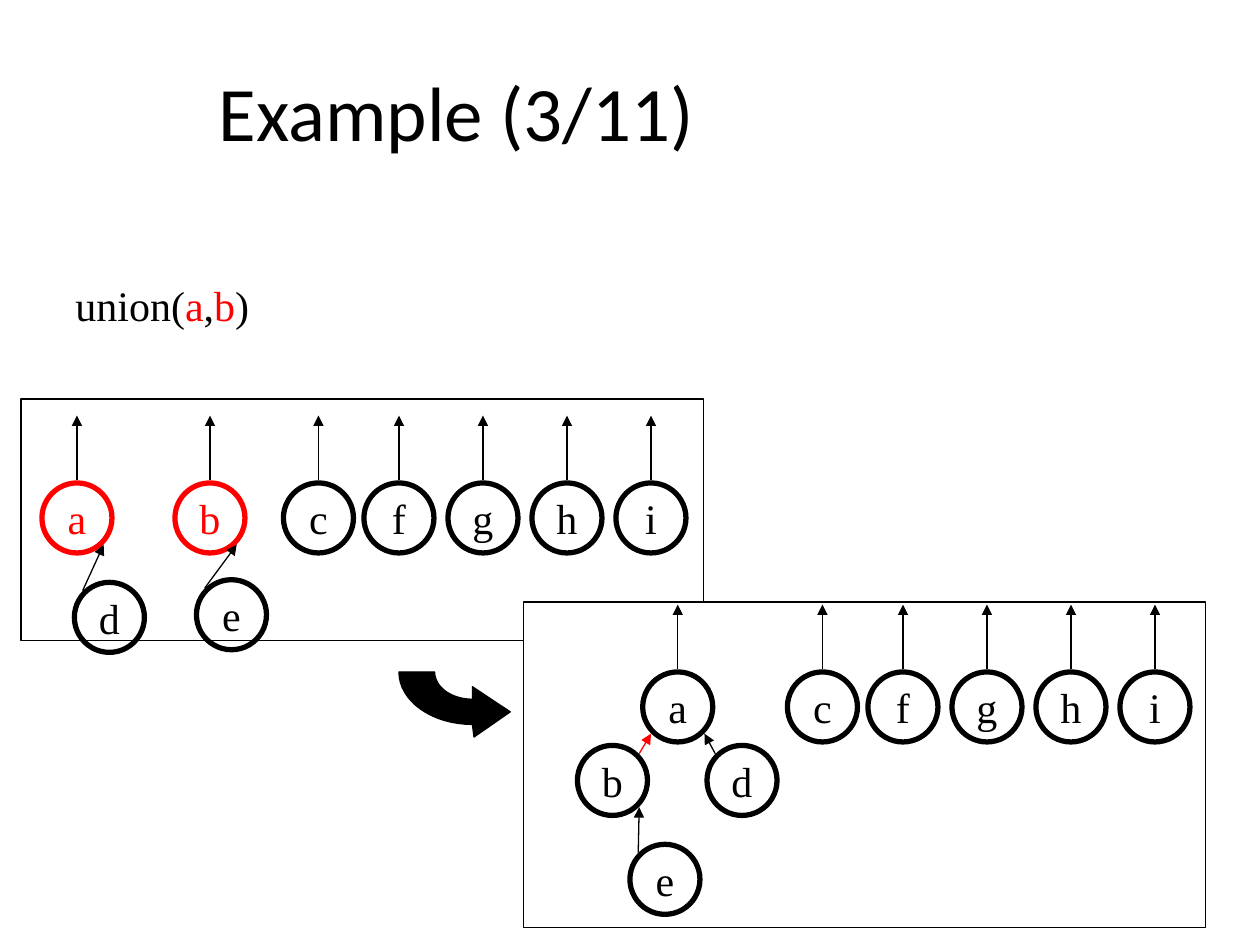
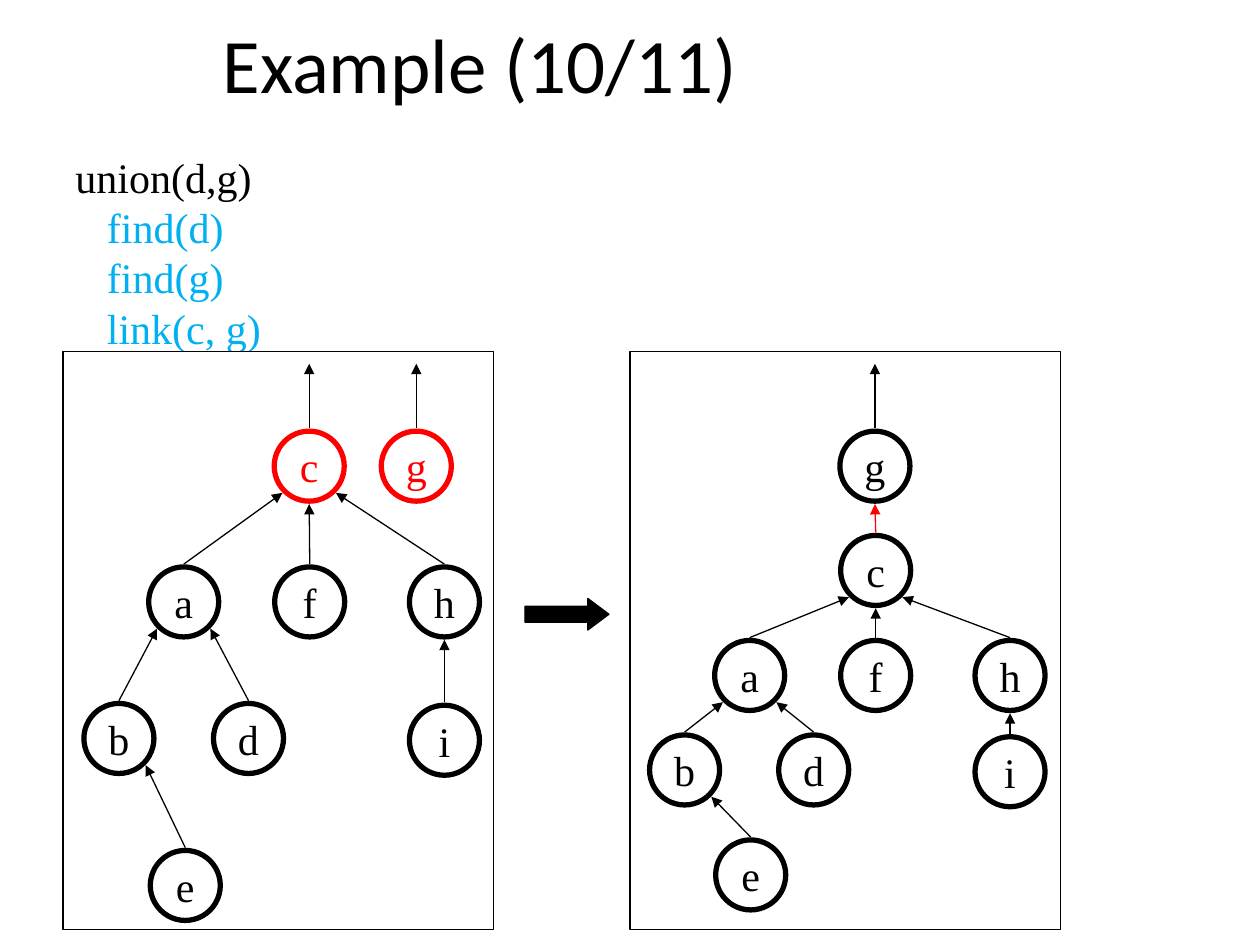
"""Build two slides that show union-find forests before and after a union."""
from math import cos, pi, sin, sqrt

from lxml import etree
from pptx import Presentation
from pptx import util as u
from pptx.dml.color import RGBColor
from pptx.enum import shapes, text
from pptx.oxml.ns import qn

BLACK = RGBColor(0x00, 0x00, 0x00)
WHITE = RGBColor(0xFF, 0xFF, 0xFF)
RED = RGBColor(0xFF, 0x00, 0x00)
BLUE = RGBColor(0x00, 0xB0, 0xF0)
TITLE_FONT, BODY_FONT = "Calibri", "Times New Roman"
THIN, THICK = u.Pt(0.75), u.Pt(3)

deck = Presentation()
deck.slide_width, deck.slide_height = u.Inches(10), u.Inches(7.5)
CELL = deck.slide_width / 120
NODE = 6.67
REACH = 3.6
ROOT_ARROW = 6.15


def write(paragraph, parts, font, size):
    """Fill a paragraph with (words, colour) parts."""
    for words, colour in parts:
        run = paragraph.add_run()
        run.text = words
        run.font.name, run.font.size = font, u.Pt(size)
        run.font.color.rgb = colour


def paint(shape, fill, line, width):
    """Give a shape its fill and outline, without shadow."""
    shape.shadow.inherit = False
    if fill is None:
        shape.fill.background()
    else:
        shape.fill.solid()
        shape.fill.fore_color.rgb = fill
    shape.line.color.rgb, shape.line.width = line, width


# Forest entries: node, column and row of its centre, parent.
EXAMPLES = [
    {
        "title": "Example (3/11)",
        "title_box": (1, 3, 85, 15),
        "command_box": (6, 26, 19, 6),
        "command": [(0, [("union(", BLACK), ("a", RED), (",", BLACK), ("b", RED), (")", BLACK)])],
        "panels": [((2, 38, 65, 23), None), ((49.83, 57.33, 65, 31), WHITE)],
        "leaning": True,
        "forests": [
            {
                "red_nodes": "ab",
                "red_links": "",
                "nodes": [
                    ("a", 7.33, 49.33, None), ("b", 20, 49.33, None), ("c", 30.33, 49.33, None),
                    *[(name, 38 + 8 * i, 49.33, None) for i, name in enumerate("fghi")],
                    ("d", 10.42, 58.8, "a"), ("e", 22.05, 58.55, "b"),
                ],
            },
            {
                "red_nodes": "",
                "red_links": "b",
                "nodes": [
                    ("a", 64.55, 67.33, None), ("c", 78.33, 67.33, None),
                    *[(name, 86 + 8 * i, 67.33, None) for i, name in enumerate("fghi")],
                    ("b", 58.33, 74.33, "a"), ("d", 70.67, 74.33, "a"), ("e", 63.33, 83.75, "b"),
                ],
            },
        ],
    },
    {
        "title": "Example (10/11)",
        "title_box": (2.2, -1.55, 87, 15),
        "command_box": (6, 13.8, 21.33, 20.67),
        "command": [(0, [("union(d,g)", BLACK)])]
        + [(3, [(step, BLUE)]) for step in ("find(d)", "find(g)", "link(c, g)")],
        "panels": [((left, 33.5, 41, 55), WHITE) for left in (6, 60)],
        "leaning": False,
        "forests": [
            {
                "red_nodes": "cg",
                "red_links": "",
                "nodes": [
                    ("c", 29.45, 44.4, None), ("g", 39.65, 44.4, None),
                    ("a", 17.5, 57.33, "c"), ("f", 29.5, 57.33, "c"), ("h", 42.33, 57.33, "c"),
                    ("b", 11.33, 70.33, "a"), ("d", 23.67, 70.33, "a"), ("i", 42.33, 70.5, "h"),
                    ("e", 17.65, 84.33, "b"),
                ],
            },
            {
                "red_nodes": "",
                "red_links": "c",
                "nodes": [
                    ("g", 83.33, 44.4, None), ("c", 83.4, 54.33, "g"),
                    ("a", 71.4, 64.33, "c"), ("f", 83.4, 64.33, "c"), ("h", 96.2, 64.33, "c"),
                    ("b", 65.2, 73.33, "a"), ("d", 77.5, 73.33, "a"), ("i", 96.2, 73.5, "h"),
                    ("e", 71.5, 83.33, "b"),
                ],
            },
        ],
    },
]

slides = []
for example in EXAMPLES:
    slide = deck.slides.add_slide(deck.slide_layouts[6])
    slides.append(slide)

    heading = slide.shapes.add_textbox(*[round(n * CELL) for n in example["title_box"]]).text_frame
    heading.word_wrap = True
    heading.vertical_anchor = text.MSO_ANCHOR.MIDDLE
    heading.paragraphs[0].alignment = text.PP_ALIGN.CENTER
    write(heading.paragraphs[0], [(example["title"], BLACK)], TITLE_FONT, 44)

    command = slide.shapes.add_textbox(*[round(n * CELL) for n in example["command_box"]]).text_frame
    command.word_wrap = False
    for number, (indent, parts) in enumerate(example["command"]):
        step = command.add_paragraph() if number else command.paragraphs[0]
        step._p.get_or_add_pPr().set("marL", str(round(indent * CELL)))
        write(step, parts, BODY_FONT, 24)

    for box, fill in example["panels"]:
        panel = slide.shapes.add_shape(
            shapes.MSO_SHAPE.RECTANGLE, *[round(n * CELL) for n in box])
        paint(panel, fill, BLACK, THIN)

    for forest in example["forests"]:
        centres = {name: (x, y) for name, x, y, _ in forest["nodes"]}
        for name, x, y, parent in forest["nodes"]:
            colour = RED if name in forest["red_nodes"] else BLACK
            node = slide.shapes.add_shape(
                shapes.MSO_SHAPE.OVAL, round((x - NODE / 2) * CELL), round((y - NODE / 2) * CELL),
                round(NODE * CELL), round(NODE * CELL))
            paint(node, None, colour, THICK)
            node.text_frame.word_wrap = False
            node.text_frame.vertical_anchor = text.MSO_ANCHOR.MIDDLE
            node.text_frame.paragraphs[0].alignment = text.PP_ALIGN.CENTER
            write(node.text_frame.paragraphs[0], [(name, colour)], BODY_FONT, 24)

            start = (x, y - REACH)
            end = (x, y - REACH - ROOT_ARROW)
            if parent:
                parent_x, parent_y = centres[parent]
                offset = x - parent_x
                side = 0 if abs(offset) < 1 else 1 if offset > 0 else -1
                diagonal = REACH / sqrt(2)
                end = (parent_x + side * diagonal, parent_y + (diagonal if side else REACH))
                if example["leaning"]:
                    start = (x - side * diagonal, y - diagonal)
            link = slide.shapes.add_connector(
                shapes.MSO_CONNECTOR.STRAIGHT, *[round(n * CELL) for n in start + end])
            link.line.color.rgb = RED if name in forest["red_links"] else BLACK
            link.line.width = THIN
            etree.SubElement(link.line._get_or_add_ln(), qn("a:tailEnd"), type="triangle")
            etree.SubElement(link._element.spPr, qn("a:effectLst"))

bend_x, bend_y = 45, 64
quarter = [pi / 2 * i / 16 for i in range(17)]
outer = [(bend_x - 7 * cos(t), bend_y + 5 * sin(t)) for t in quarter]
inner = [(bend_x - 3.6 * cos(t), bend_y + 2.6 * sin(t)) for t in reversed(quarter)]
head = [(45.15, 70.2), (48.6, 67.8), (45, 65.4)]
bend = [(round(x * CELL), round(y * CELL)) for x, y in outer + head + inner]
builder = slides[0].shapes.build_freeform(*bend[0])
builder.add_line_segments(bend[1:], close=True)
paint(builder.convert_to_shape(), BLACK, BLACK, THIN)

result_arrow = slides[1].shapes.add_shape(
    shapes.MSO_SHAPE.RIGHT_ARROW, *[round(n * CELL) for n in (50, 57, 8, 3)])
result_arrow.adjustments[1] = 0.67
paint(result_arrow, BLACK, BLACK, THIN)

deck.save("out.pptx")
